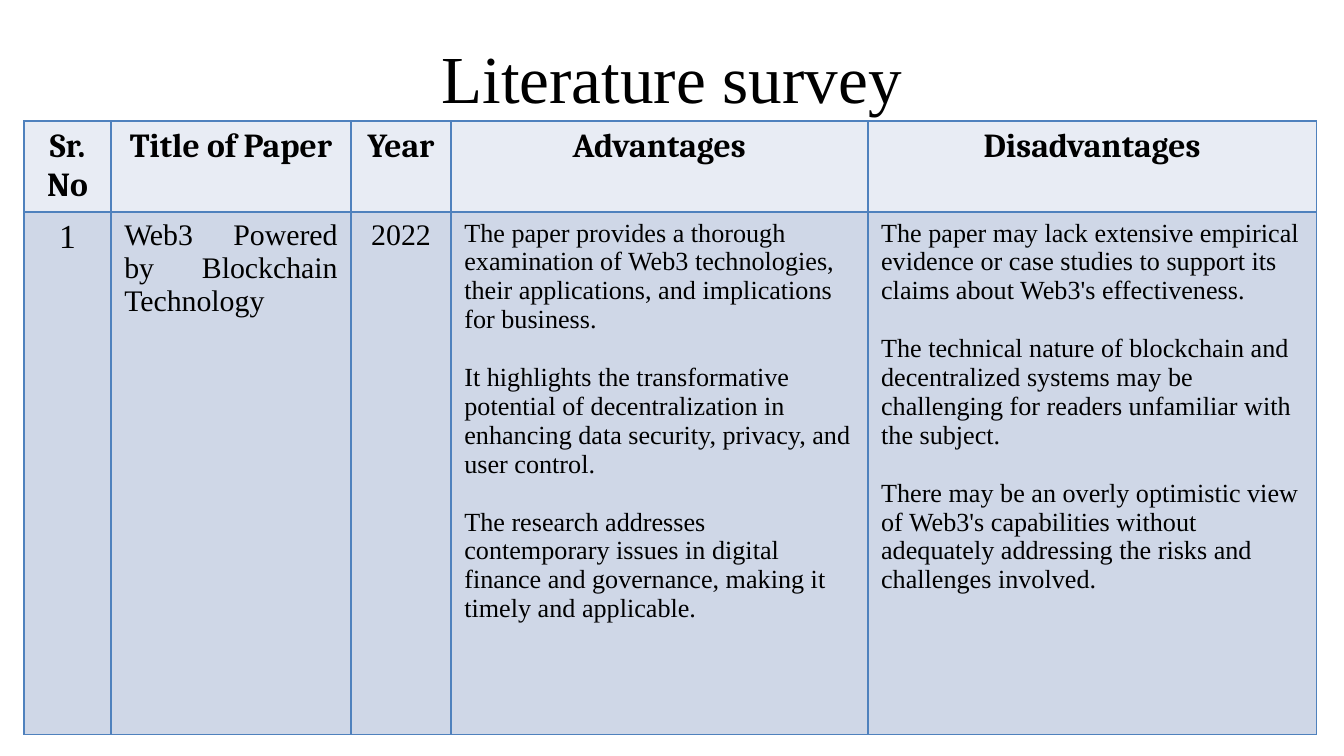
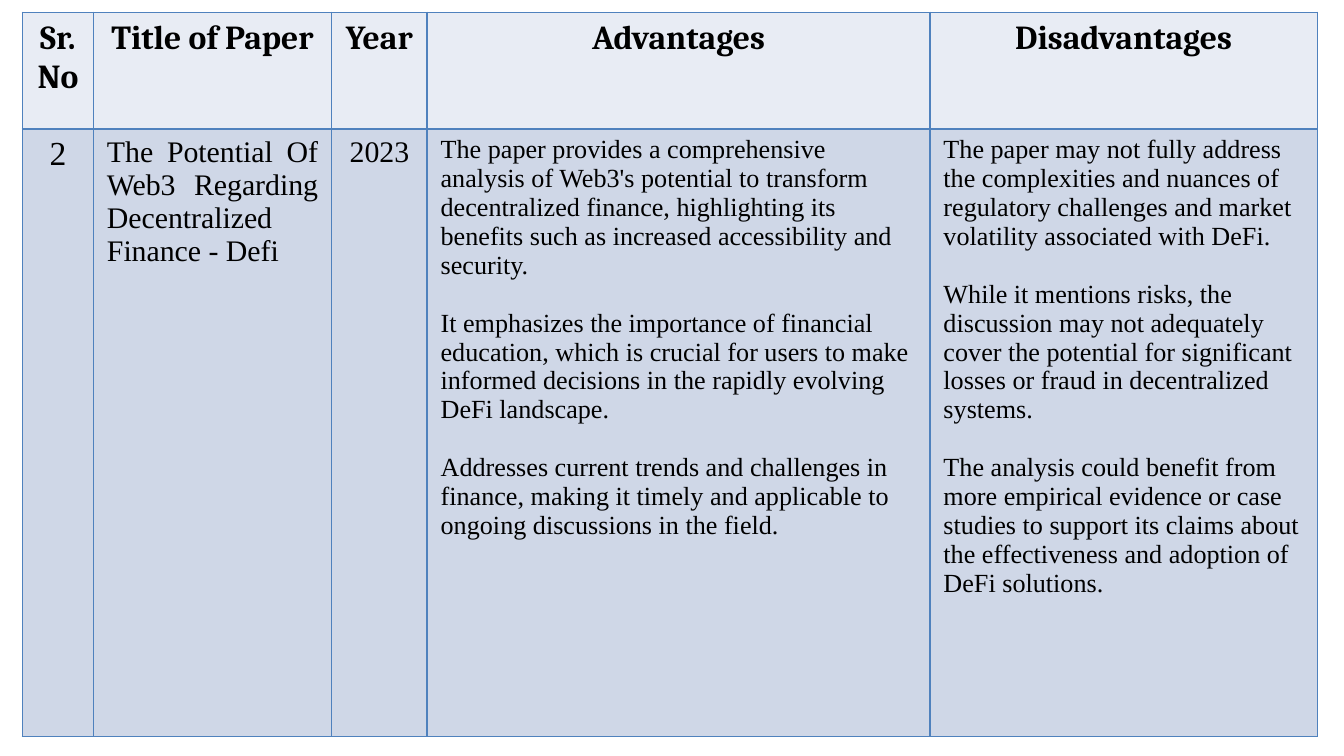
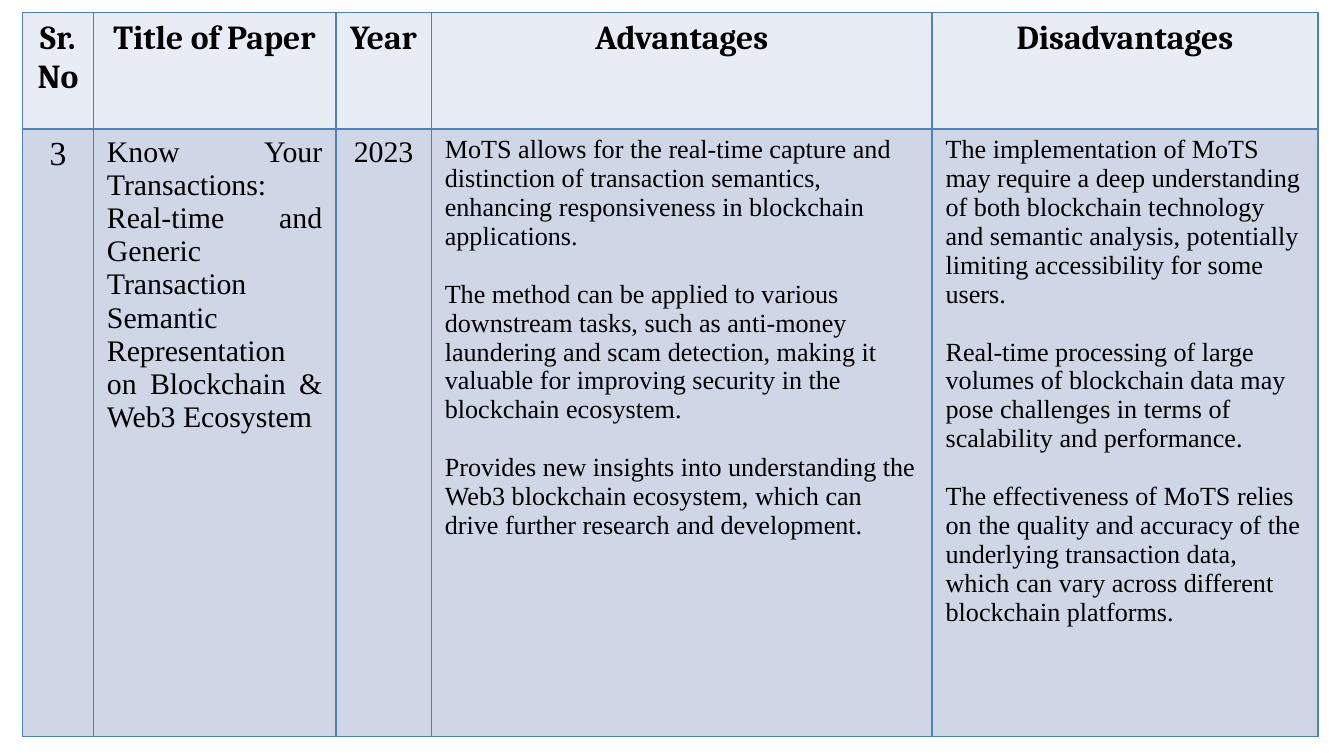
from dataclasses import dataclass

import pptx
import pptx.dml.color
import pptx.enum.text
import pptx.oxml
import pptx.oxml.ns
import pptx.util
from lxml import etree

Pt = pptx.util.Pt
RGB = pptx.dml.color.RGBColor.from_string
ALIGN = pptx.enum.text.PP_ALIGN
ANCHOR = pptx.enum.text.MSO_ANCHOR
qn = pptx.oxml.ns.qn

HEADERS = ["Sr. No", "Title of Paper", "Year ", "Advantages", "Disadvantages"]

SURVEY = [
    {
        "title": "Literature survey",
        "at": (13, 64.8),
        "cols": [46.4, 128.7, 53.5, 223.3, 240.5],
        "rows": [45.4, 280],
        "paper": [
            ["1"],
            ["Web3 Powered by Blockchain Technology"],
            ["2022"],
            [
                "The paper provides a thorough examination of Web3 technologies, their applications, and implications for business.",
                "It highlights the transformative potential of decentralization in enhancing data security, privacy, and user control.",
                "The research addresses contemporary issues in digital finance and governance, making it timely and applicable.",
            ],
            [
                "The paper may lack extensive empirical evidence or case studies to support its claims about Web3's effectiveness.",
                "The technical nature of blockchain and decentralized systems may be challenging for readers unfamiliar with the subject.",
                "There may be an overly optimistic view of Web3's capabilities without adequately addressing the risks and challenges involved.",
            ],
        ],
    },
    {
        "title": None,
        "at": (12, 6.6),
        "cols": [38.1, 127.6, 51.2, 269.4, 207.5],
        "rows": [62.4, 325.6],
        "paper": [
            ["2"],
            ["The Potential Of Web3 Regarding Decentralized Finance - Defi"],
            ["2023"],
            [
                "The paper provides a comprehensive analysis of Web3's potential to transform decentralized finance, highlighting its benefits such as increased accessibility and security.",
                "It emphasizes the importance of financial education, which is crucial for users to make informed decisions in the rapidly evolving DeFi landscape.",
                "Addresses current trends and challenges in finance, making it timely and applicable to ongoing discussions in the field.",
            ],
            [
                "The paper may not fully address the complexities and nuances of regulatory challenges and market volatility associated with DeFi.",
                "While it mentions risks, the discussion may not adequately cover the potential for significant losses or fraud in decentralized systems.",
                "The analysis could benefit from more empirical evidence or case studies to support its claims about the effectiveness and adoption of DeFi solutions.",
            ],
        ],
    },
    {
        "title": None,
        "at": (12, 6.6),
        "cols": [38.1, 129.8, 51.2, 268.3, 206.6],
        "rows": [62.4, 325.6],
        "paper": [
            ["3"],
            ["Know Your Transactions: Real-time and Generic Transaction Semantic Representation on Blockchain & Web3 Ecosystem"],
            ["2023"],
            [
                "MoTS allows for the real-time capture and distinction of transaction semantics, enhancing responsiveness in blockchain applications.",
                "The method can be applied to various downstream tasks, such as anti-money laundering and scam detection, making it valuable for improving security in the blockchain ecosystem.",
                "Provides new insights into understanding the Web3 blockchain ecosystem, which can drive further research and development.",
            ],
            [
                "The implementation of MoTS may require a deep understanding of both blockchain technology and semantic analysis, potentially limiting accessibility for some users.",
                "Real-time processing of large volumes of blockchain data may pose challenges in terms of scalability and performance.",
                "The effectiveness of MoTS relies on the quality and accuracy of the underlying transaction data, which can vary across different blockchain platforms.",
            ],
        ],
    },
]


@dataclass(frozen=True)
class Theme:
    ink: str = "000000"
    border: str = "4F81BD"
    header_fill: str = "E8ECF4"
    body_fill: str = "CFD7E7"
    header_font: str = "Cambria"
    body_font: str = "Times New Roman"
    title_size: float = 36
    header_size: float = 18
    paper_size: float = 16
    point_size: float = 14
    point_gap: float = 15.5


T = Theme()

# Size and alignment of each body column
BODY_STYLES = [
    (T.header_size, ALIGN.CENTER),
    (T.paper_size, ALIGN.JUSTIFY),
    (T.paper_size, ALIGN.CENTER),
    (T.point_size, ALIGN.LEFT),
    (T.point_size, ALIGN.LEFT),
]


def write(tf, texts, font, size, align, bold=False):
    for i, text in enumerate(texts):
        p = tf.paragraphs[0] if i == 0 else tf.add_paragraph()
        p.alignment = align
        if i:
            p.space_before = Pt(T.point_gap)
        r = p.add_run()
        r.text = text
        r.font.name = font
        r.font.size = Pt(size)
        r.font.bold = bold
        r.font.color.rgb = RGB(T.ink)


def style_cell(cell, fill):
    """Draw all four borders, then the fill, in the order the schema asks for."""
    props = cell._tc.get_or_add_tcPr()
    for side in ("lnL", "lnR", "lnT", "lnB"):
        ln = etree.SubElement(props, qn("a:" + side), w=str(Pt(1)))
        solid = etree.SubElement(ln, qn("a:solidFill"))
        etree.SubElement(solid, qn("a:srgbClr"), val=T.border)
    cell.fill.solid()
    cell.fill.fore_color.rgb = RGB(fill)


def add_title(s, text):
    sp = s.shapes.title
    sp.left, sp.top, sp.width, sp.height = Pt(24.5), Pt(8.6), Pt(671), Pt(45.4)
    tf = sp.text_frame
    tf.auto_size = pptx.enum.text.MSO_AUTO_SIZE.NONE
    tf.vertical_anchor = ANCHOR.TOP
    tf.margin_top = Pt(11)
    tf.margin_left = tf.margin_right = tf.margin_bottom = Pt(7.2)
    write(tf, [text], T.body_font, T.title_size, ALIGN.CENTER)


def add_survey_table(s, entry):
    cols, rows = entry["cols"], entry["rows"]
    left, top = entry["at"]
    table = s.shapes.add_table(
        len(rows), len(cols), Pt(left), Pt(top), Pt(sum(cols)), Pt(sum(rows))
    ).table
    table.first_row = table.horz_banding = False
    for row, height in zip(table.rows, rows):
        row.height = Pt(height)
    for c, width in enumerate(cols):
        table.columns[c].width = Pt(width)
        header, body = table.cell(0, c), table.cell(1, c)
        style_cell(header, T.header_fill)
        style_cell(body, T.body_fill)
        write(header.text_frame, [HEADERS[c]], T.header_font, T.header_size,
              ALIGN.CENTER, bold=True)
        write(body.text_frame, entry["paper"][c], T.body_font, *BODY_STYLES[c])


def main():
    prs = pptx.Presentation()
    prs.slide_width, prs.slide_height = Pt(720), Pt(405)
    title_only, blank = prs.slide_layouts[5], prs.slide_layouts[6]
    for entry in SURVEY:
        s = prs.slides.add_slide(title_only if entry["title"] else blank)
        if entry["title"]:
            add_title(s, entry["title"])
        add_survey_table(s, entry)
    prs.save("out.pptx")


if __name__ == "__main__":
    main()
